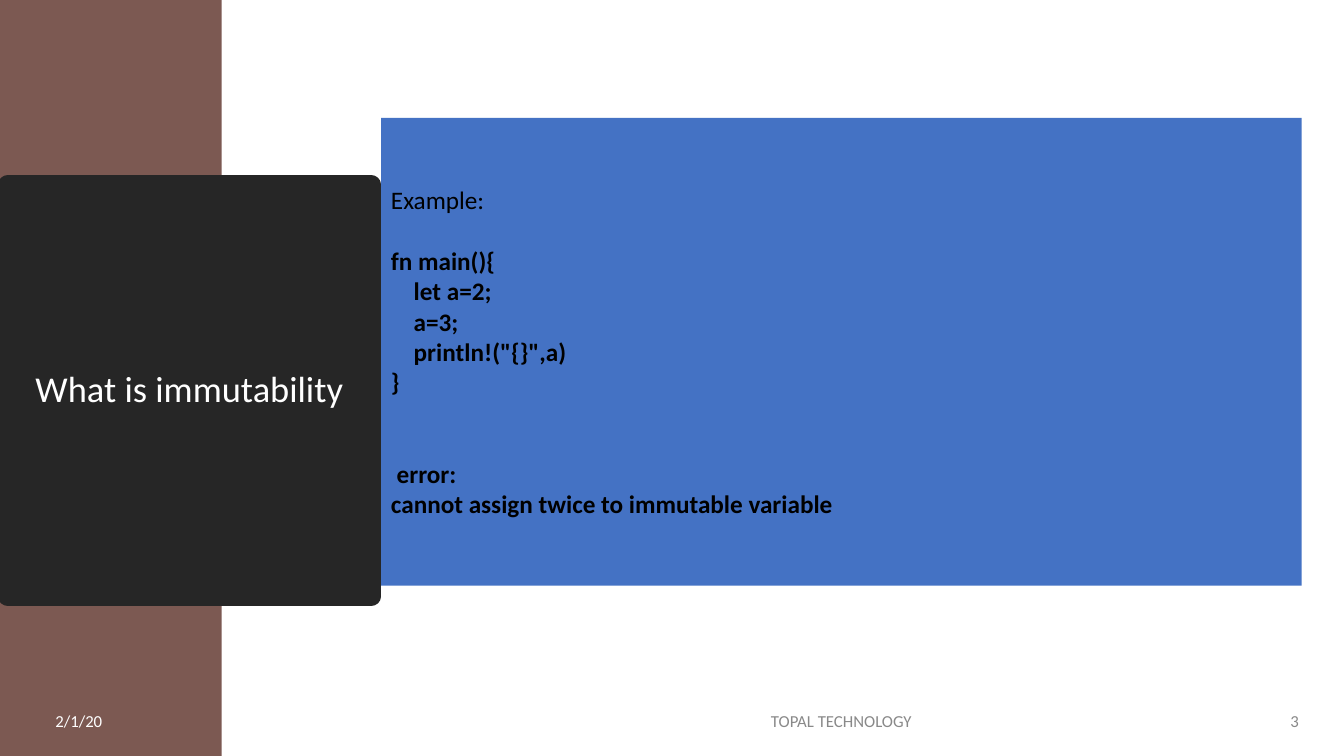
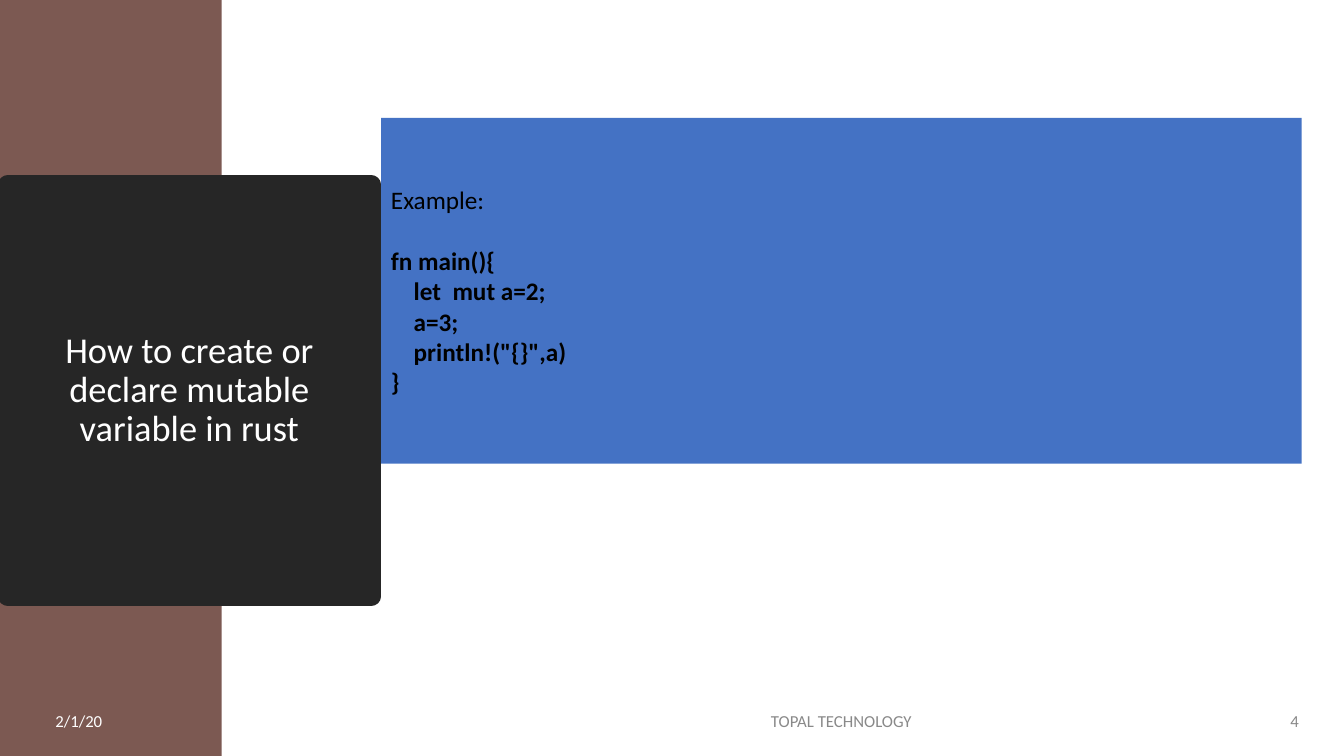
"""Build two slides on immutable and mutable variables in Rust."""
from lxml import etree
from pptx import Presentation
from pptx.dml.color import RGBColor
from pptx.enum.shapes import MSO_SHAPE
from pptx.enum.text import MSO_ANCHOR, PP_ALIGN
from pptx.oxml.ns import qn
from pptx.util import Inches, Pt

RECTANGLE = MSO_SHAPE.RECTANGLE
TOP, MIDDLE = MSO_ANCHOR.TOP, MSO_ANCHOR.MIDDLE
LEFT, CENTER, RIGHT = PP_ALIGN.LEFT, PP_ALIGN.CENTER, PP_ALIGN.RIGHT

BROWN = RGBColor(0x7C, 0x59, 0x52)
CHARCOAL = RGBColor(0x26, 0x26, 0x26)
BLUE = RGBColor(0x44, 0x72, 0xC4)
GRAY = RGBColor(0x89, 0x89, 0x89)
WHITE = RGBColor(0xFF, 0xFF, 0xFF)
BLACK = RGBColor(0, 0, 0)
FONT = "Calibri"
LINE_HEIGHT = 22

DATE = "2/1/20"
ORGANIZATION = "TOPAL TECHNOLOGY"
FIRST_NUMBER = 3


def example(declaration):
    """Return the heading and code blocks around one declaration."""
    return [
        ["Example:"],
        ["fn main(){", "    " + declaration, "    a=3;", '    println!("{}",a)', "}"],
    ]


SLIDES = [
    {
        "title": "What is immutability",
        "blocks": example("let a=2;")
        + [[" error:", "cannot assign twice to immutable variable"]],
        "gaps": [0, 1, 2],
        "height": 4.64,
    },
    {
        "title": "How to create or declare mutable variable in rust",
        "blocks": example("let  mut a=2;"),
        "gaps": [0, 1],
        "height": 3.43,
    },
]


def add_text(paragraph, text, size, color, align=LEFT, bold=False):
    """Add one formatted run to a paragraph."""
    paragraph.alignment = align
    run = paragraph.add_run()
    run.text = text
    run.font.name = FONT
    run.font.size = Pt(size)
    run.font.bold = bold
    run.font.color.rgb = color


def add_panel(slide, box, color):
    """Add a flat rectangle without outline or shadow."""
    panel = slide.shapes.add_shape(RECTANGLE, *map(Inches, box))
    panel.shadow.inherit = False
    panel.fill.solid()
    panel.fill.fore_color.rgb = color
    panel.line.fill.background()
    return panel


def format_title(title, text):
    """Place the title in a dark box with a thick rounded outline."""
    title.left, title.top, title.width, title.height = map(
        Inches, (0.08, 1.83, 3.6, 4.09)
    )
    title.fill.solid()
    title.fill.fore_color.rgb = CHARCOAL
    title.line.color.rgb = CHARCOAL
    title.line.width = Pt(13.75)
    outline = title._element.spPr.find(qn("a:ln"))
    etree.SubElement(outline, qn("a:round"))
    frame = title.text_frame
    frame.word_wrap = True
    frame.vertical_anchor = MIDDLE
    paragraph = frame.paragraphs[0]
    paragraph.line_spacing = 0.9
    add_text(paragraph, text, 26, WHITE, CENTER)


def add_footers(slide, number):
    """Add the date, organization and slide number."""
    for left, width, text, color, align in (
        (0.45, 1.62, DATE, WHITE, LEFT),
        (4.5, 7.69, ORGANIZATION, GRAY, CENTER),
        (12.37, 0.61, str(number), GRAY, RIGHT),
    ):
        footer = slide.shapes.add_textbox(*map(Inches, (left, 6.95, width, 0.4)))
        frame = footer.text_frame
        frame.word_wrap = True
        frame.vertical_anchor = MIDDLE
        add_text(frame.paragraphs[0], text, 12, color, align)


def add_example(slide, content):
    """Add the blue panel with its heading, code and error."""
    panel = add_panel(slide, (3.78, 1.17, 9.13, content["height"]), BLUE)
    frame = panel.text_frame
    frame.word_wrap = True
    frame.vertical_anchor = TOP
    frame.margin_top = Inches(0.66)
    paragraph = frame.paragraphs[0]
    for block_index, (block, gap) in enumerate(zip(content["blocks"], content["gaps"])):
        for line_index, line in enumerate(block):
            if block_index or line_index:
                paragraph = frame.add_paragraph()
            if gap and line_index == 0:
                paragraph.space_before = Pt(gap * LINE_HEIGHT)
            add_text(paragraph, line, 18, BLACK, bold=block_index > 0)


def main():
    """Build and save the presentation."""
    deck = Presentation()
    deck.slide_width, deck.slide_height = Inches(13.33), Inches(7.5)
    for number, content in enumerate(SLIDES, FIRST_NUMBER):
        slide = deck.slides.add_slide(deck.slide_layouts[5])
        band = add_panel(slide, (0, 0, 2.2, 7.5), BROWN)
        slide.shapes.title._element.addprevious(band._element)
        format_title(slide.shapes.title, content["title"])
        add_footers(slide, number)
        add_example(slide, content)
    deck.save("out.pptx")


if __name__ == "__main__":
    main()
